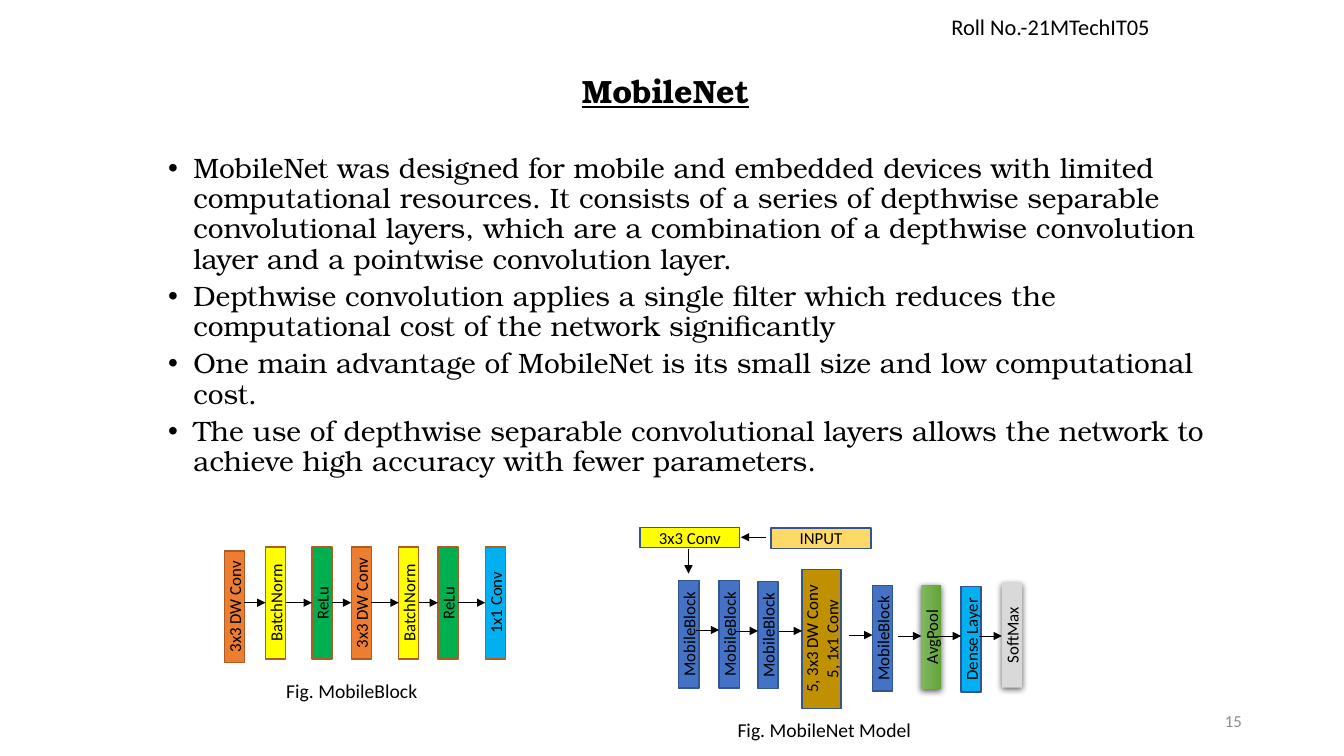
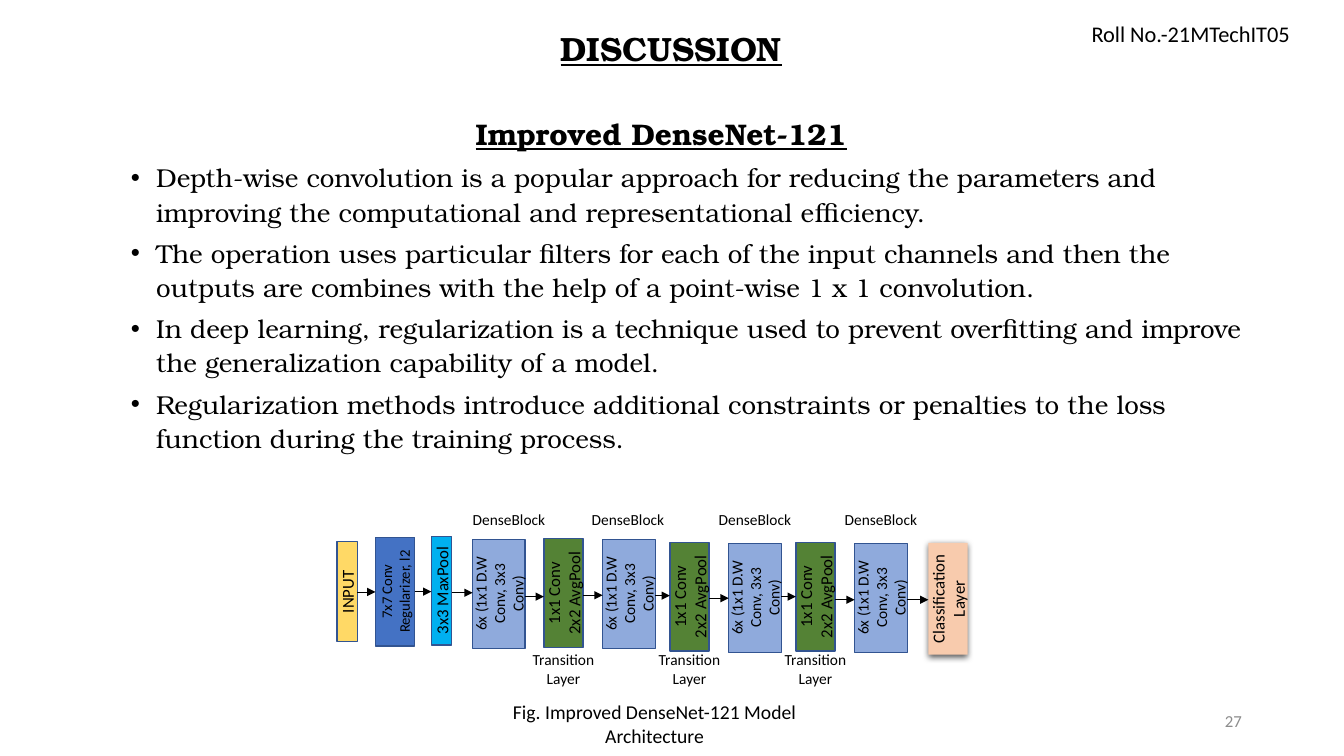
from collections import namedtuple
from dataclasses import dataclass
from itertools import pairwise

from lxml.etree import SubElement
from pptx import Presentation
from pptx.dml.color import RGBColor
from pptx.enum.shapes import MSO_CONNECTOR, MSO_SHAPE
from pptx.enum.text import MSO_ANCHOR, MSO_AUTO_SIZE, PP_ALIGN
from pptx.oxml.ns import qn
from pptx.util import Pt


# Theme: colours, fonts and type sizes
@dataclass(frozen=True)
class Theme:
    serif: str = "TeX Gyre Bonum"
    sans: str = "Calibri"
    black: str = "000000"
    grey: str = "8C8C8C"
    silver: str = "D9D9D9"
    orange: str = "ED7D31"
    yellow: str = "FFFF00"
    green: str = "00B050"
    sky: str = "00B0F0"
    blue: str = "4472C4"
    light_blue: str = "8FAADC"
    gold: str = "FFD966"
    dark_gold: str = "BF9000"
    dark_green: str = "548235"
    peach: str = "F8CBAD"
    leaf: tuple = ("81B861", "62A336")
    brown_line: str = "AF5C24"
    blue_line: str = "325491"
    roll_size: float = 16
    caption_size: float = 14
    block_size: float = 12
    label_size: float = 11
    small_size: float = 10.5


THEME = Theme()
ROLL_NUMBER = "Roll No.-21MTechIT05"
THIN, WIDE = 14.4, 28

# Kinds of network block
Kind = namedtuple("Kind", "text fill thickness size shadow",
                  defaults=(THIN, THEME.block_size, False))
DEPTHWISE = Kind("3x3 DW Conv", THEME.orange)
NORM = Kind("BatchNorm", THEME.yellow)
RELU = Kind("ReLu", THEME.green)
POINTWISE = Kind("1x1 Conv", THEME.sky)
MOBILE = Kind("MobileBlock", THEME.blue)
REPEATED = Kind("5, 3x3 DW Conv 5, 1x1 Conv", THEME.dark_gold, WIDE)
AVERAGE = Kind("AvgPool", THEME.leaf, shadow=True)
DENSE_LAYER = Kind("Dense Layer", THEME.sky)
SOFTMAX = Kind("SoftMax", THEME.silver, shadow=True)
ENTRY = Kind("INPUT", THEME.gold)
FIRST_CONV = Kind("3x3 Conv", THEME.yellow)
REGULARIZED = Kind("7x7 Conv\nRegularizer, l2", THEME.blue, WIDE, THEME.small_size)
MAX_POOL = Kind("3x3 MaxPool", THEME.sky)
DENSE = Kind("6x (1x1 D.W Conv, 3x3 Conv)", THEME.light_blue, 37.6, THEME.label_size)
TRANSITION = Kind("1x1 Conv\n2x2 AvgPool", THEME.dark_green, WIDE)
CLASSIFIER = Kind("Classification Layer", THEME.peach, WIDE, shadow=True)

# A block of a flow: centre, length, and height of the arrow that enters it
Block = namedtuple("Block", "kind x y length arrow_y")


def write_text(frame, text, font=THEME.sans, size=THEME.block_size, color=THEME.black,
               bold=False, underline=False, align=PP_ALIGN.CENTER,
               anchor=MSO_ANCHOR.MIDDLE, line_spacing=None, space_after=None, bullet=False):
    """Fill a text frame, one paragraph for each line of text."""
    frame.word_wrap = True
    frame.auto_size = MSO_AUTO_SIZE.NONE
    frame.vertical_anchor = anchor
    for index, line in enumerate(text.split("\n")):
        paragraph = frame.add_paragraph() if index else frame.paragraphs[0]
        paragraph.alignment = align
        if line_spacing:
            paragraph.line_spacing = line_spacing
        if space_after is not None:
            paragraph.space_after = Pt(space_after)
        if bullet:
            properties = paragraph._p.get_or_add_pPr()
            properties.set("marL", str(Pt(54)))
            properties.set("indent", str(-Pt(18)))
            SubElement(properties, qn("a:buFont")).set("typeface", "Arial")
            SubElement(properties, qn("a:buChar")).set("char", "•")
        run = paragraph.add_run()
        run.text = line
        run.font.name = font
        run.font.size = Pt(size)
        run.font.bold = bold
        run.font.underline = underline
        run.font.color.rgb = RGBColor.from_string(color)


class Deck:
    """The presentation, its style and the slide being built."""

    def __init__(self, theme):
        self.theme = theme
        self.presentation = Presentation()
        self.presentation.slide_width = Pt(960)
        self.presentation.slide_height = Pt(540)
        self.slide = None

    def new_slide(self, title, title_box, title_size, number, roll_at):
        layout = self.presentation.slide_layouts.get_by_name("Title Only")
        self.slide = self.presentation.slides.add_slide(layout)
        shape = self.slide.shapes.title
        shape.left, shape.top, shape.width, shape.height = map(Pt, title_box)
        write_text(shape.text_frame, title, font=self.theme.serif, size=title_size,
                   bold=True, underline=True, line_spacing=0.9)
        self.text(ROLL_NUMBER, (*roll_at, 161.3, 26.6), size=self.theme.roll_size,
                  align=PP_ALIGN.LEFT, anchor=MSO_ANCHOR.TOP)
        self.text(number, (866, 500.4, 28.2, 28.8), color=self.theme.grey,
                  align=PP_ALIGN.RIGHT)

    def text(self, text, box, **style):
        shape = self.slide.shapes.add_textbox(*map(Pt, box))
        write_text(shape.text_frame, text, **style)

    def bullets(self, lines, box, size, line_spacing):
        self.text("\n".join(lines), box, font=self.theme.serif, size=size,
                  align=PP_ALIGN.LEFT, anchor=MSO_ANCHOR.TOP,
                  line_spacing=line_spacing, space_after=5, bullet=True)

    def caption(self, text, box):
        self.text(text, box, size=self.theme.caption_size)

    def label(self, text, x, y):
        self.text(text, (x - 34.5, y - 11, 69, 22), size=self.theme.label_size)

    def block(self, kind, x, y, length, outline, rotation=270):
        """Add a box centred on x, y; it reads upwards unless rotation is 0."""
        shape = self.slide.shapes.add_shape(
            MSO_SHAPE.RECTANGLE, Pt(x - length / 2), Pt(y - kind.thickness / 2),
            Pt(length), Pt(kind.thickness))
        shape.rotation = rotation
        if isinstance(kind.fill, tuple):
            shape.fill.gradient()
            shape.fill.gradient_angle = 270
            for stop, color in zip(shape.fill.gradient_stops, kind.fill):
                stop.color.rgb = RGBColor.from_string(color)
        else:
            shape.fill.solid()
            shape.fill.fore_color.rgb = RGBColor.from_string(kind.fill)
        if kind.shadow:
            shape.line.fill.background()
        else:
            shape.line.color.rgb = RGBColor.from_string(outline)
            shape.line.width = Pt(1)
        shape.shadow.inherit = False
        if kind.shadow:
            self.soft_shadow(shape)
        write_text(shape.text_frame, kind.text, size=kind.size)

    def soft_shadow(self, shape):
        effects = shape._element.spPr.find(qn("a:effectLst"))
        shadow = SubElement(effects, qn("a:outerShdw"), blurRad=str(Pt(4.5)),
                            dist=str(Pt(1.5)), dir="5400000", algn="ctr", rotWithShape="0")
        color = SubElement(shadow, qn("a:srgbClr"), val=self.theme.black)
        SubElement(color, qn("a:alpha"), val="63000")

    def arrow(self, start_x, start_y, end_x, end_y):
        connector = self.slide.shapes.add_connector(
            MSO_CONNECTOR.STRAIGHT, *map(Pt, (start_x, start_y, end_x, end_y)))
        connector.line.color.rgb = RGBColor.from_string(self.theme.black)
        connector.line.width = Pt(0.5)
        SubElement(connector.line._get_or_add_ln(), qn("a:tailEnd"), type="triangle")
        SubElement(connector._element.spPr, qn("a:effectLst"))

    def flow(self, blocks, outline, arrow_length=None):
        """Draw blocks and the arrows between their facing edges."""
        for block in blocks:
            self.block(block.kind, block.x, block.y, block.length, outline)
        for before, after in pairwise(blocks):
            end = after.x - after.kind.thickness / 2
            start = before.x + before.kind.thickness / 2
            if arrow_length:
                start = end - arrow_length
            self.arrow(start, after.arrow_y, end, after.arrow_y)


def build_mobilenet(deck):
    theme = deck.theme
    deck.new_slide("MobileNet", (77, 46.5, 797, 40), 23, "15", (672.5, 5.8))
    deck.bullets([
        "MobileNet was designed for mobile and embedded devices with limited computational "
        "resources. It consists of a series of depthwise separable convolutional layers, which "
        "are a combination of a depthwise convolution layer and a pointwise convolution layer.",
        "Depthwise convolution applies a single filter which reduces the computational cost of "
        "the network significantly",
        "One main advantage of MobileNet is its small size and low computational cost.",
        "The use of depthwise separable convolutional layers allows the network to achieve high "
        "accuracy with fewer parameters.",
    ], (77, 106.7, 797, 255), 20, 0.9)

    # Layers of one MobileBlock
    kinds = (DEPTHWISE, NORM, RELU, DEPTHWISE, NORM, RELU, POINTWISE)
    centres = (167.4, 196.9, 230, 258.1, 292, 320, 353.9)
    deck.flow([Block(kind, x, 430.6 if index else 433.4, 80, 430.5)
               for index, (kind, x) in enumerate(zip(kinds, centres))], theme.brown_line)
    deck.caption("Fig. MobileBlock", (196.6, 478.8, 109.4, 28.8))

    # Whole model
    deck.block(FIRST_CONV, 492.8, 383.8, 71.3, theme.blue_line, rotation=0)
    deck.block(ENTRY, 586.5, 384.5, 71.3, theme.blue_line, rotation=0)
    deck.arrow(547.2, 383.8, 529.2, 383.8)
    deck.arrow(491.8, 392.4, 491.8, 409.7)
    deck.flow([
        Block(MOBILE, 492, 452.9, 77, 450),
        Block(MOBILE, 520.9, 452.9, 77, 450),
        Block(MOBILE, 548.6, 453.6, 76.3, 450.7),
        Block(REPEATED, 586.8, 456.5, 99.4, 450.7),
        Block(MOBILE, 630.4, 455.8, 75.6, 453.6),
        Block(AVERAGE, 665.3, 455, 75, 454.3),
        Block(DENSE_LAYER, 693.7, 456.5, 75.6, 454.3),
        Block(SOFTMAX, 722.9, 453.6, 75, 454.3),
    ], theme.blue_line, arrow_length=16.5)
    deck.caption("Fig. MobileNet Model", (519, 506.9, 139.7, 28.8))


def build_discussion(deck):
    theme = deck.theme
    deck.new_slide("DISCUSSION", (195.8, 6.5, 567.4, 59.8), 24, "27", (772.6, 10.8))
    deck.text("Improved DenseNet-121", (50.4, 79.4, 843.8, 33), font=theme.serif, size=21.3,
              bold=True, underline=True, anchor=MSO_ANCHOR.TOP)
    deck.bullets([
        "Depth-wise convolution is a popular approach for reducing the parameters and improving "
        "the computational and representational efficiency.",
        "The operation uses particular filters for each of the input channels and then the "
        "outputs are combines with the help of a point-wise 1 x 1 convolution.",
        "In deep learning, regularization is a technique used to prevent overfitting and improve "
        "the generalization capability of a model.",
        "Regularization methods introduce additional constraints or penalties to the loss "
        "function during the training process.",
    ], (50.4, 110, 843.8, 222), 18.5, 1.1)

    # Improved DenseNet-121 model
    blocks = [
        Block(ENTRY, 248, 422.6, 71.3, 422.6),
        Block(REGULARIZED, 282.2, 422.6, 77.8, 422.8),
        Block(MAX_POOL, 315.4, 421.9, 77.8, 422.6),
        Block(DENSE, 356.4, 424.1, 77.8, 423.4),
        Block(TRANSITION, 402.5, 423.7, 77.8, 426.2),
        Block(DENSE, 449.3, 424.1, 77.8, 425.2),
        Block(TRANSITION, 492.5, 426.2, 77.8, 425.5),
        Block(DENSE, 539.3, 427, 77.8, 427.3),
        Block(TRANSITION, 582.5, 426.2, 77.8, 426.2),
        Block(DENSE, 629.3, 427, 77.8, 428.4),
        Block(CLASSIFIER, 677.2, 427.7, 79.9, 428.4),
    ]
    deck.flow(blocks, theme.blue_line)
    for x in (363.6, 448.6, 539.3, 629.3):
        deck.label("DenseBlock", x, 371.2)
    for block in blocks:
        if block.kind is TRANSITION:
            deck.label("Transition Layer", block.x, 477.9)
    deck.caption("Fig. Improved DenseNet-121 Model Architecture", (350.6, 502.6, 234, 28.8))


def main():
    deck = Deck(THEME)
    build_mobilenet(deck)
    build_discussion(deck)
    deck.presentation.save("out.pptx")


if __name__ == "__main__":
    main()
